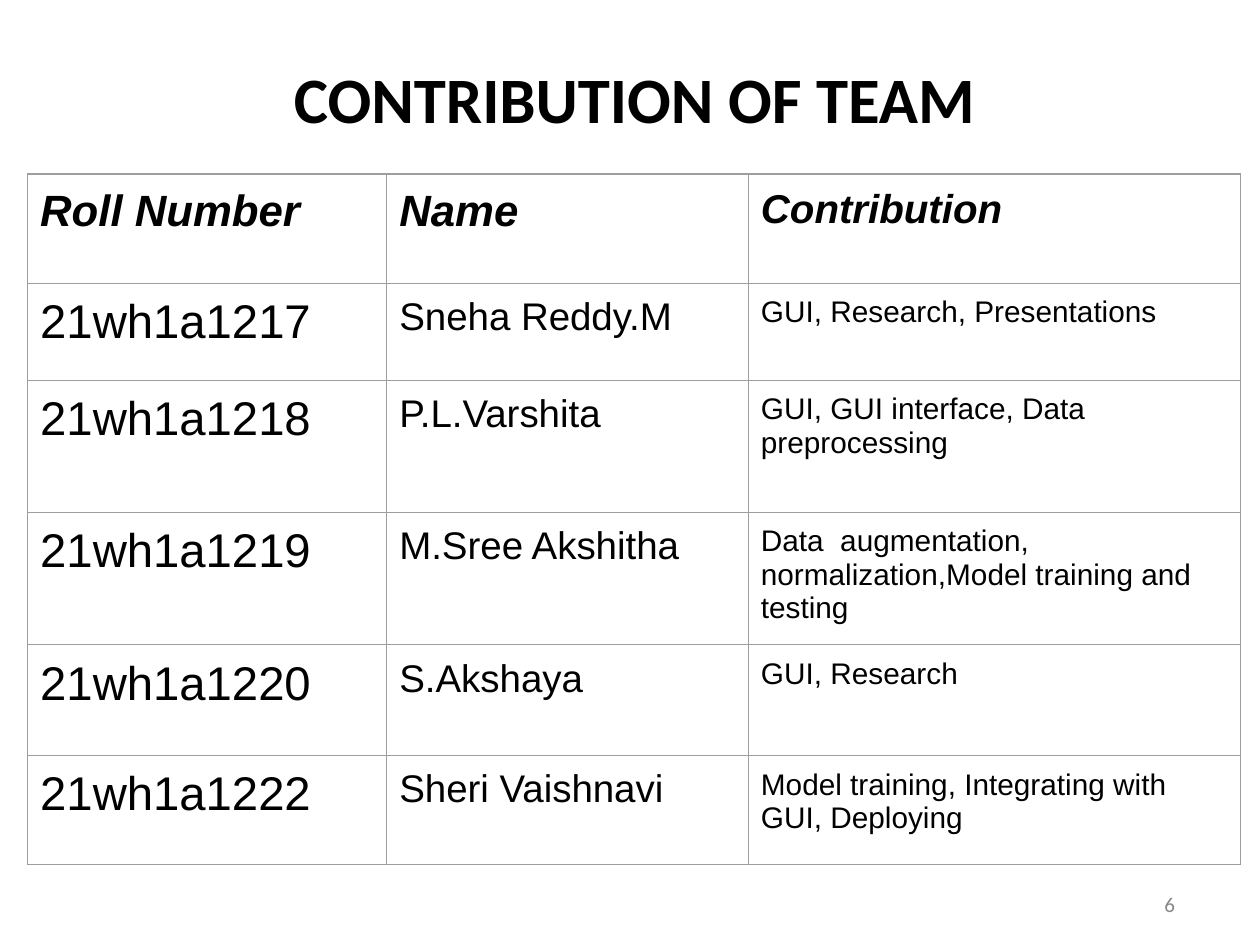
from lxml import etree
from pptx import Presentation
from pptx.dml.color import RGBColor
from pptx.enum.text import MSO_AUTO_SIZE, PP_ALIGN
from pptx.oxml.ns import qn
from pptx.util import Pt

CENTER, LEFT = PP_ALIGN.CENTER, PP_ALIGN.LEFT
GROW = MSO_AUTO_SIZE.SHAPE_TO_FIT_TEXT
COLORS = {"text": "000000", "page": "888888", "border": "9E9E9E"}

COLUMN_WIDTHS = [205.2, 206.6, 281.5]
ROW_HEIGHTS = [62.4, 55.4, 75.5, 75.5, 63.4, 62.3]
HEADER_SIZES = [25, 25, 23]
BODY_SIZES = [27, 22, 17]
TEAM = [
    ("Roll Number", "Name", "Contribution"),
    ("21wh1a1217", "Sneha Reddy.M", "GUI, Research, Presentations"),
    ("21wh1a1218", "P.L.Varshita", "GUI, GUI interface, Data preprocessing"),
    ("21wh1a1219", "M.Sree Akshitha",
     "Data  augmentation, normalization,Model training and testing"),
    ("21wh1a1220", "S.Akshaya", "GUI, Research"),
    ("21wh1a1222", "Sheri Vaishnavi",
     "Model training, Integrating with GUI, Deploying"),
]


def set_margins(target, horizontal, vertical):
    margins = {"margin_left": horizontal, "margin_right": horizontal,
               "margin_top": vertical, "margin_bottom": vertical}
    for side, value in margins.items():
        setattr(target, side, Pt(value))


def write(frame, words, color="text", align=LEFT, **font_format):
    paragraph = frame.paragraphs[0]
    paragraph.alignment = align
    run = paragraph.add_run()
    run.text = words
    run.font.color.rgb = RGBColor.from_string(COLORS[color])
    for name, value in font_format.items():
        setattr(run.font, name, value)
    return paragraph


def add_text(slide, bounds, words, margins, **text_format):
    frame = slide.shapes.add_textbox(*map(Pt, bounds)).text_frame
    frame.word_wrap = True
    frame.auto_size = GROW
    set_margins(frame, *margins)
    return write(frame, words, name="Calibri", **text_format)


def add_borders(cell):
    properties = cell._tc.get_or_add_tcPr()
    for position, side in enumerate(("lnL", "lnR", "lnT", "lnB")):
        line = etree.Element(qn(f"a:{side}"), w=str(Pt(0.75)))
        fill = etree.SubElement(line, qn("a:solidFill"))
        etree.SubElement(fill, qn("a:srgbClr"), val=COLORS["border"])
        properties.insert(position, line)


def add_team_table(slide, left, top):
    table = slide.shapes.add_table(
        len(TEAM), len(COLUMN_WIDTHS), Pt(left), Pt(top),
        Pt(sum(COLUMN_WIDTHS)), Pt(sum(ROW_HEIGHTS))).table
    table.first_row = table.horz_banding = False
    for column, width in zip(table.columns, COLUMN_WIDTHS):
        column.width = Pt(width)
    for index, (row, height, entries) in enumerate(
            zip(table.rows, ROW_HEIGHTS, TEAM)):
        row.height = Pt(height)
        header = index == 0
        sizes = HEADER_SIZES if header else BODY_SIZES
        for cell, entry, size in zip(row.cells, entries, sizes):
            set_margins(cell, 7.2, 7.2)
            cell.fill.background()
            add_borders(cell)
            write(cell.text_frame, entry, name="Arial", size=Pt(size),
                  bold=header, italic=header)


def main():
    deck = Presentation()
    deck.slide_width, deck.slide_height = Pt(720), Pt(540)
    slide = deck.slides.add_slide(deck.slide_layouts[6])

    # Page number
    page = add_text(slide, (665.3, 509, 15, 14.4), "6", (0, 0),
                    color="page", size=Pt(12))
    page.line_spacing = 1.03

    # Title
    add_text(slide, (90, 30.2, 545, 51.8), "CONTRIBUTION OF TEAM", (7.2, 3.6),
             align=CENTER, size=Pt(37), bold=True)

    # Team members and their work
    add_team_table(slide, 15.8, 99.4)

    deck.save("out.pptx")


if __name__ == "__main__":
    main()
